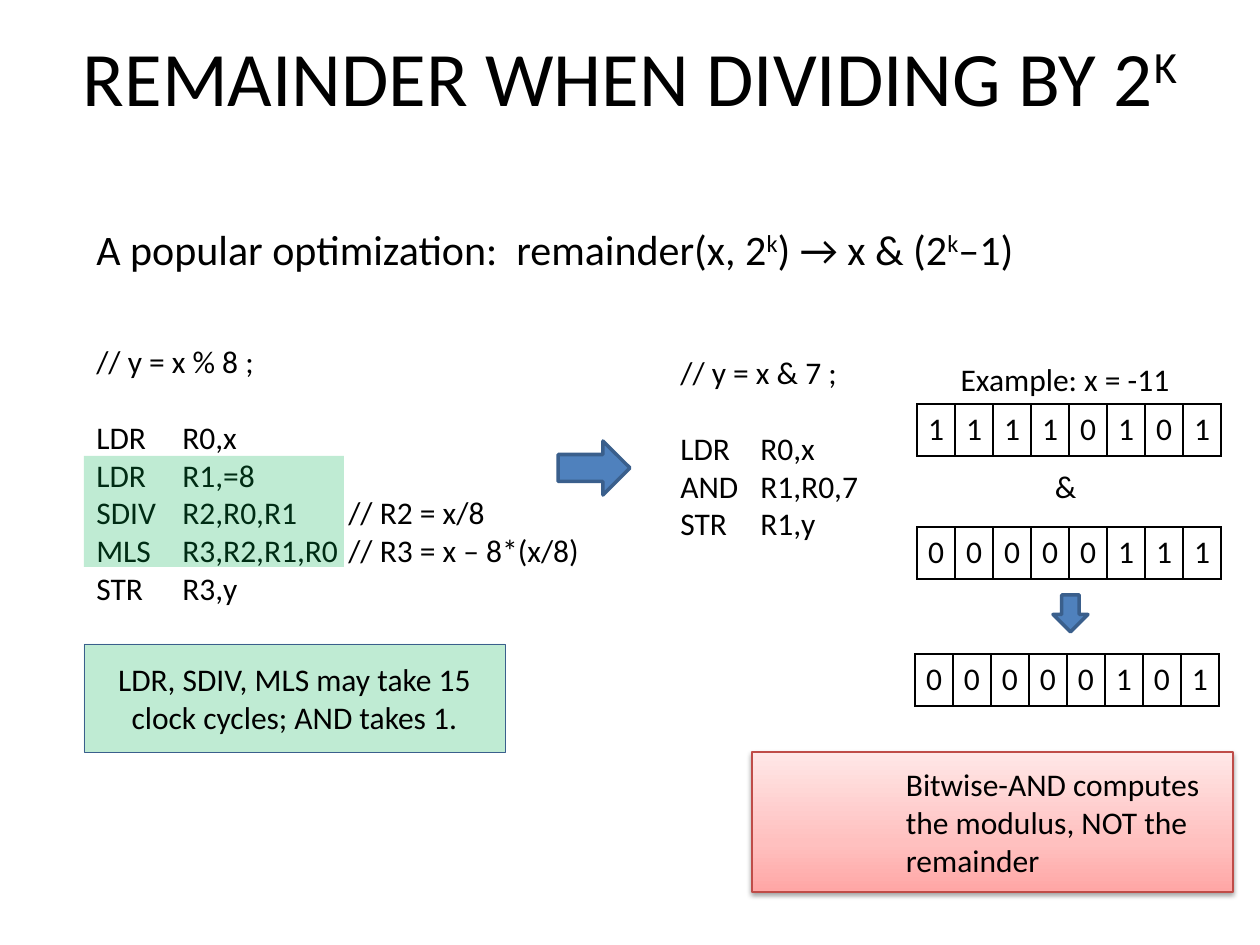
from lxml.etree import SubElement
from pptx import Presentation
from pptx.dml.color import RGBColor
from pptx.enum.shapes import MSO_SHAPE
from pptx.enum.text import MSO_ANCHOR, MSO_AUTO_SIZE, PP_ALIGN
from pptx.oxml.ns import qn
from pptx.util import Emu, Pt

SCALE = 914400 / 126
COLORS = {"text": "000000", "arrow": "4F81BD", "edge": "3A5F8C", "green": "00B050",
          "pink_edge": "BF4C48", "border": "000000", "shadow": "000000"}
PINKS = [(0, "FFA6A5"), (35, "FFC0BF"), (100, "FFE7E7")]


def px(n):
    """Turn picture pixels into EMU."""
    return Emu(round(n * SCALE))


def rgb(name):
    """Look up a named colour."""
    return RGBColor.from_string(COLORS[name])


def node(parent, tag, **attrs):
    """Add a DrawingML child element."""
    return SubElement(parent, qn("a:" + tag), {k: str(v) for k, v in attrs.items()})


def color_node(parent, color, alpha=100):
    """Add a hex colour with its opacity in percent."""
    clr = node(parent, "srgbClr", val=color)
    if alpha < 100:
        node(clr, "alpha", val=alpha * 1000)


def write(tf, text, size=18, align=PP_ALIGN.LEFT, anchor=MSO_ANCHOR.TOP, tabs=(), indent=0):
    """Write lines of text; a caret pair encloses a superscript."""
    tf.word_wrap = True
    tf.auto_size = MSO_AUTO_SIZE.NONE
    tf.vertical_anchor = anchor
    for i, line in enumerate(text.split("\n")):
        p = tf.add_paragraph() if i else tf.paragraphs[0]
        p.alignment = align
        p.font.size = Pt(size)
        pPr = p._p.get_or_add_pPr()
        if indent:
            pPr.set("marL", str(px(indent)))
            pPr.set("indent", "0")
        if tabs:
            tab_list = node(pPr, "tabLst")
            pPr.insert(0, tab_list)
            for pos in tabs:
                node(tab_list, "tab", pos=px(pos), algn="l")
        for j, part in enumerate(line.split("^")):
            if part:
                r = p.add_run()
                r.text = part
                r.font.size, r.font.name = Pt(size), "Calibri"
                r.font.color.rgb = rgb("text")
                if j % 2:
                    r.font._element.set("baseline", "30000")


def label(s, box, text, **fmt):
    """Add a text box."""
    write(s.shapes.add_textbox(*map(px, box)).text_frame, text, **fmt)


def shape(s, kind, box, fill=None, alpha=100, edge=None, width=1):
    """Add a preset shape without an inherited shadow."""
    sp = s.shapes.add_shape(kind, *map(px, box))
    sp.shadow.inherit = False
    if fill:
        sp.fill.solid()
        sp.fill.fore_color.rgb = rgb(fill)
        if alpha < 100:
            clr = sp._element.spPr.find(qn("a:solidFill"))[0]
            node(clr, "alpha", val=alpha * 1000)
    if edge:
        sp.line.color.rgb = rgb(edge)
        sp.line.width = Pt(width)
    else:
        sp.line.fill.background()
    return sp


def arrow(s, kind, box):
    """Add a blue block arrow."""
    shape(s, kind, box, fill="arrow", edge="edge", width=2)


def bit_row(s, x, y, bits, cell=38, height=52):
    """Add a one-row table of bits with thin borders."""
    gf = s.shapes.add_table(1, len(bits), px(x), px(y), px(cell * len(bits)), px(height))
    table = gf.table
    table.first_row = table.horz_banding = False
    table.rows[0].height = px(height)
    for i, bit in enumerate(bits):
        table.columns[i].width = px(cell)
        c = table.cell(0, i)
        c.margin_left = c.margin_right = 0
        c.vertical_anchor = MSO_ANCHOR.MIDDLE
        write_cell(c, bit)
        tcPr = c._tc.get_or_add_tcPr()
        for side in ("lnL", "lnR", "lnT", "lnB"):
            color_node(node(node(tcPr, side, w=Pt(1)), "solidFill"), COLORS["border"])
        c.fill.background()


def write_cell(c, bit):
    """Write one centred bit in a table cell."""
    p = c.text_frame.paragraphs[0]
    p.alignment = PP_ALIGN.CENTER
    r = p.add_run()
    r.text = bit
    r.font.size, r.font.name = Pt(18), "Calibri"
    r.font.color.rgb = rgb("text")


def heading(s, x, y, w, h):
    """Fill the title placeholder and the rule below it."""
    t = s.shapes.title
    t.left, t.top, t.width, t.height = map(px, (x, y, w, h))
    t.text_frame.margin_bottom = px(87)
    write(t.text_frame, "REMAINDER WHEN DIVIDING BY 2^K^", size=44,
          align=PP_ALIGN.CENTER, anchor=MSO_ANCHOR.MIDDLE)
    label(s, (x + 21, y + 179, 1075, 63),
          "A popular optimization:  remainder(x, 2^k^) → x & (2^k^–1)", size=24)


def code_comparison(s, x, y):
    """Place both listings, the arrow between them and the timing note."""
    label(s, (x, y, 519, 317),
          "// y = x % 8 ;\n\nLDR\tR0,x\nLDR\tR1,=8\nSDIV\tR2,R0,R1\t// R2 = x/8\n"
          "MLS\tR3,R2,R1,R0\t// R3 = x – 8*(x/8)\nSTR\tR3,y", tabs=(86, 252))
    label(s, (x + 584, y + 11, 227, 242),
          "// y = x & 7 ;\n\nLDR\tR0,x\nAND\tR1,R0,7\nSTR\tR1,y", tabs=(80, 205))
    arrow(s, MSO_SHAPE.RIGHT_ARROW, (x + 474, y + 105, 72, 54))
    note = shape(s, MSO_SHAPE.RECTANGLE, (x, y + 308, 421, 108),
                 fill="green", alpha=25, edge="edge", width=0.25)
    write(note.text_frame, "LDR, SDIV, MLS may take 15 clock cycles; AND takes 1.",
          align=PP_ALIGN.CENTER, anchor=MSO_ANCHOR.MIDDLE)
    shape(s, MSO_SHAPE.RECTANGLE, (x, y + 120, 260, 111), fill="green", alpha=25)


def bit_example(s, x, y):
    """Place the worked example of the bitwise AND."""
    label(s, (x, y, 306, 50), "Example: x = -11", align=PP_ALIGN.CENTER)
    for dx, dy, bits in ((5, 50, "11110101"), (5, 173, "00000111"), (3, 300, "00000101")):
        bit_row(s, x + dx, y + dy, bits)
    label(s, (x + 119, y + 107, 69, 50), "&", align=PP_ALIGN.CENTER)
    arrow(s, MSO_SHAPE.DOWN_ARROW, (x + 141, y + 241, 35, 37))


def callout(s, x, y, w, h):
    """Place the pink shaded remark."""
    sp = shape(s, MSO_SHAPE.RECTANGLE, (x, y, w, h), edge="pink_edge", width=0.75)
    sp.fill.gradient()
    sp.fill.gradient_angle = 90
    spPr = sp._element.spPr
    stops = spPr.find(qn("a:gradFill")).find(qn("a:gsLst"))
    for old in list(stops):
        stops.remove(old)
    for pos, color in PINKS:
        color_node(node(stops, "gs", pos=pos * 1000), color)
    shadow = node(spPr.find(qn("a:effectLst")), "outerShdw", blurRad=Pt(3.1),
                  dist=Pt(1.6), dir=5400000, rotWithShape=0)
    color_node(shadow, COLORS["shadow"], 38)
    tf = sp.text_frame
    tf.margin_left = tf.margin_right = tf.margin_top = tf.margin_bottom = px(13)
    write(tf, "Bitwise-AND computes the modulus, NOT the remainder", indent=141)


prs = Presentation()
prs.slide_width, prs.slide_height = px(1260), px(945)
s = prs.slides.add_slide(prs.slide_layouts[5])
heading(s, 63, 38, 1134, 157)
code_comparison(s, 84, 336)
callout(s, 752, 752, 481, 140)
bit_example(s, 912, 354)
prs.save("out.pptx")
